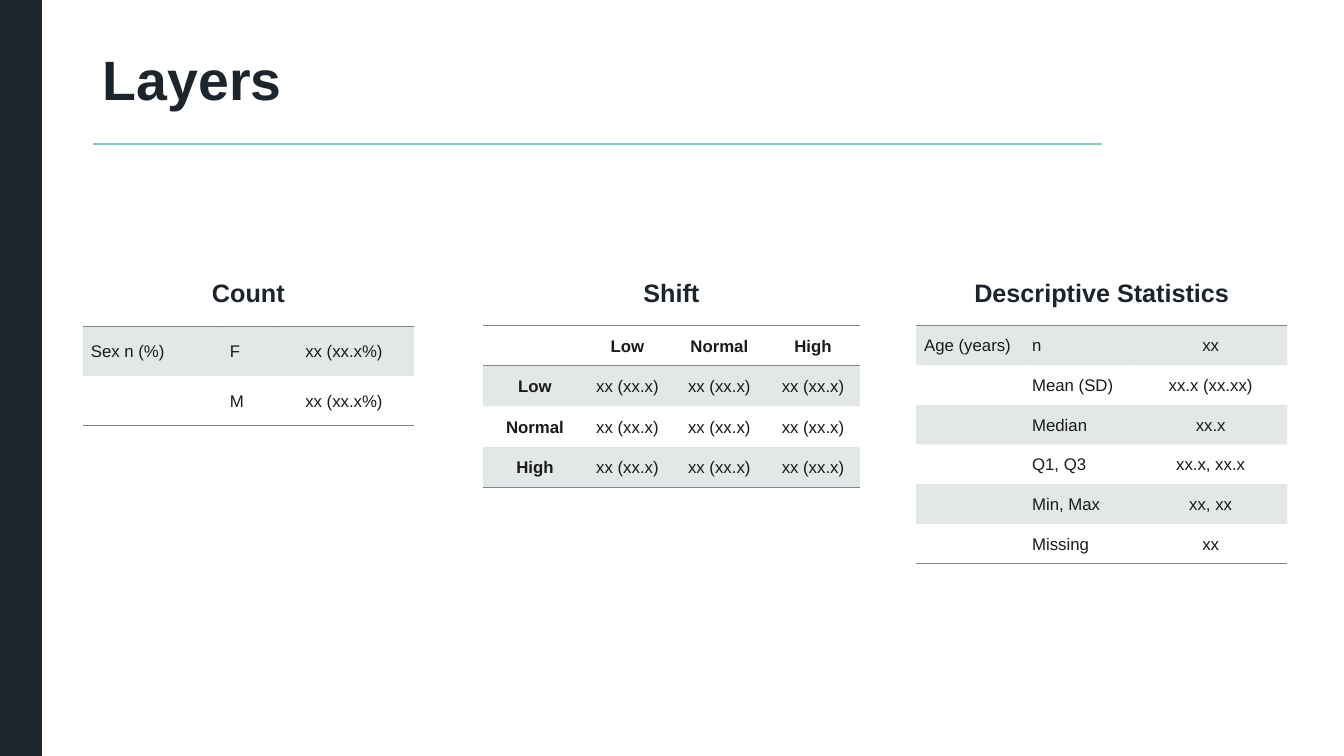
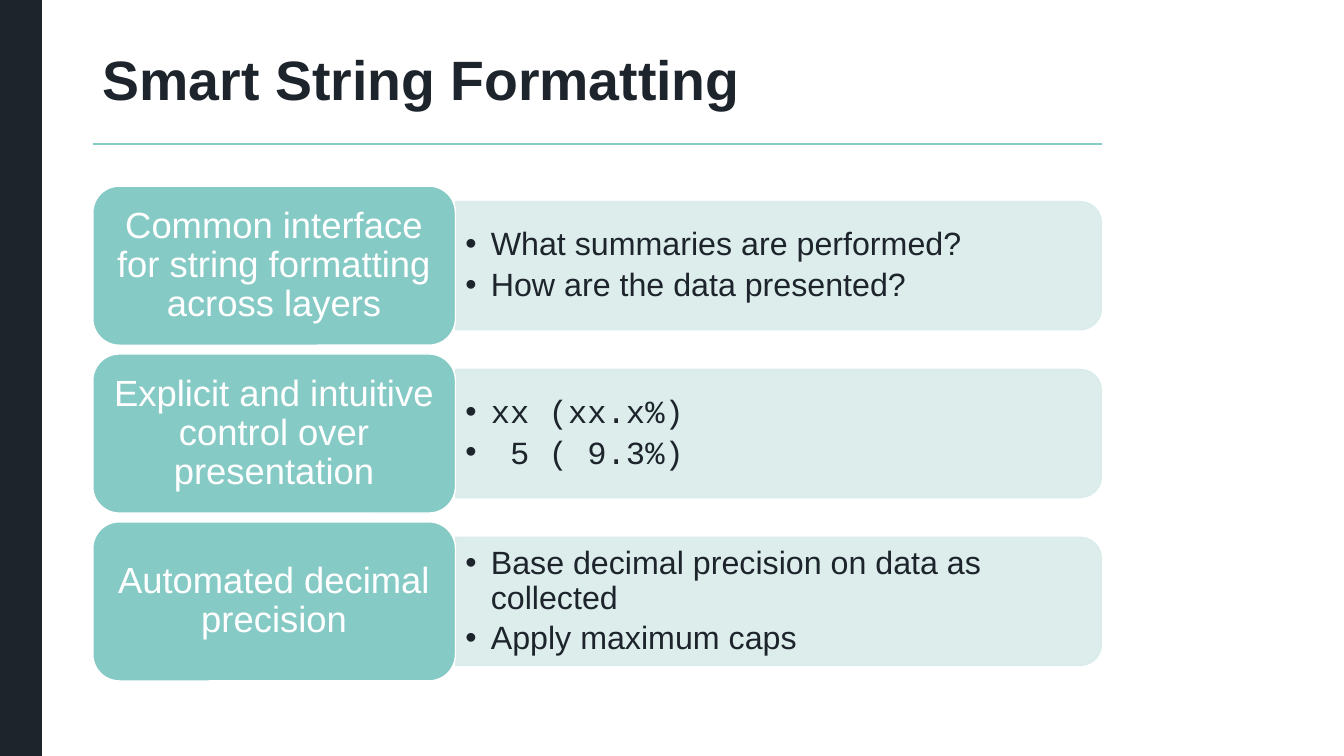
from lxml.etree import SubElement
from pptx import Presentation
from pptx.dml.color import RGBColor
from pptx.enum.shapes import MSO_CONNECTOR, MSO_SHAPE
from pptx.enum.text import MSO_ANCHOR, PP_ALIGN
from pptx.oxml import parse_xml
from pptx.oxml.ns import nsdecls, qn
from pptx.util import Cm, Pt

COLORS = {
    "dark": "1D242C",
    "teal": "86CAC6",
    "pale": "D9ECEA",
    "gray": "7C878E",
    "cell": "1A1A1A",
    "white": "FFFFFF",
}
PLAIN_TABLE_STYLE = "{2D5ABB26-0587-4C30-8999-92F81FD0307C}"


def set_opacity(element, percent):
    """Give every colour inside the element the same opacity."""
    for color in element.iter(qn("a:srgbClr")):
        SubElement(color, qn("a:alpha")).set("val", str(percent * 1000))


def format_paragraph(paragraph, size, color, font="Arial", bold=False,
                     align=PP_ALIGN.LEFT, spacing=1.0):
    paragraph.alignment = align
    paragraph.line_spacing = spacing
    for run in paragraph.runs:
        run.font.name = font
        run.font.size = Pt(size)
        run.font.bold = bold
        run.font.color.rgb = RGBColor.from_string(COLORS[color])


presentation = Presentation()
presentation.slide_width = Cm(33.87)
presentation.slide_height = Cm(19.05)

# Shared side band, title and rule
slides = []
content_left, content_width = 2.34, 25.42
for title in ("Layers", "Smart String Formatting"):
    slide = presentation.slides.add_slide(presentation.slide_layouts[6])
    slides.append(slide)

    band = slide.shapes.add_shape(MSO_SHAPE.RECTANGLE, 0, 0, Cm(1.06),
                                  presentation.slide_height)
    band.shadow.inherit = False
    band.fill.solid()
    band.fill.fore_color.rgb = RGBColor.from_string(COLORS["dark"])
    band.line.fill.background()

    rule = slide.shapes.add_connector(
        MSO_CONNECTOR.STRAIGHT, Cm(content_left), Cm(3.63),
        Cm(content_left + content_width), Cm(3.63))
    rule.line.color.rgb = RGBColor.from_string(COLORS["teal"])
    rule.line.width = Pt(1)
    SubElement(rule._element.spPr, qn("a:effectLst"))

    title_box = slide.shapes.add_textbox(Cm(content_left), Cm(1.35),
                                         Cm(content_width), Cm(1.47))
    title_box.text_frame.word_wrap = True
    title_box.text_frame.vertical_anchor = MSO_ANCHOR.MIDDLE
    title_box.text_frame.text = title
    format_paragraph(title_box.text_frame.paragraphs[0], 39.6, "dark",
                     bold=True, spacing=0.9)

layers_slide, formatting_slide = slides

# Slide 1: three tables; the centred columns start at center_from
shift_values = ["xx (xx.x)"] * 3
tables = [
    {"heading": "Count", "left": 2.09, "top": 8.23, "row_height": 1.25,
     "columns": [3.5, 1.32, 3.52], "center_from": 2, "header": False,
     "rows": [["Sex n (%)", "F", "xx (xx.x%)"],
              ["", "M", "xx (xx.x%)"]]},
    {"heading": "Shift", "left": 12.17, "top": 8.2, "row_height": 1.02,
     "columns": [2.51, 2.27, 2.36, 2.36], "center_from": 0, "header": True,
     "rows": [["", "Low", "Normal", "High"],
              [" Low", *shift_values],
              [" Normal", *shift_values],
              [" High", *shift_values]]},
    {"heading": "Descriptive Statistics", "left": 23.09, "top": 8.2,
     "row_height": 1.0, "columns": [2.72, 2.77, 3.86], "center_from": 2,
     "header": False,
     "rows": [["Age (years)", "n", "xx"],
              ["", "Mean (SD)", "xx.x (xx.xx)"],
              ["", "Median", "xx.x"],
              ["", "Q1, Q3", "xx.x, xx.x"],
              ["", "Min, Max", "xx, xx"],
              ["", "Missing", "xx"]]},
]
for layout in tables:
    rows, columns, header = layout["rows"], layout["columns"], layout["header"]
    left, width = Cm(layout["left"]), Cm(sum(columns))

    # Heading centred over its table
    heading_box = layers_slide.shapes.add_textbox(left, Cm(6.86), width, Cm(1.02))
    heading_box.text_frame.word_wrap = True
    heading_box.text_frame.text = layout["heading"]
    format_paragraph(heading_box.text_frame.paragraphs[0], 18, "dark",
                     bold=True, align=PP_ALIGN.CENTER)

    frame = layers_slide.shapes.add_table(
        len(rows), len(columns), left, Cm(layout["top"]), width,
        Cm(layout["row_height"] * len(rows)))
    table = frame.table
    table.first_row = header
    table.horz_banding = False
    table._tbl.tblPr.find(qn("a:tableStyleId")).text = PLAIN_TABLE_STYLE
    for column, column_width in zip(table.columns, columns):
        column.width = Cm(column_width)

    for row_index, row in enumerate(rows):
        table.rows[row_index].height = Cm(layout["row_height"])
        is_header = header and row_index == 0
        shaded = row_index % 2 == int(header)
        borders = []
        if is_header or row_index == len(rows) - 1:
            borders.append("lnB")
        if row_index == 0:
            borders.append("lnT")

        for column_index, text in enumerate(row):
            cell = table.cell(row_index, column_index)
            cell.text = text
            cell.vertical_anchor = MSO_ANCHOR.MIDDLE
            cell.margin_left = cell.margin_right = Cm(0.2)
            cell.margin_top = cell.margin_bottom = 0
            centered = column_index >= layout["center_from"]
            format_paragraph(
                cell.text_frame.paragraphs[0], 12, "cell",
                bold=is_header or (header and column_index == 0),
                align=PP_ALIGN.CENTER if centered else PP_ALIGN.LEFT,
                spacing=1.07)

            properties = cell._tc.get_or_add_tcPr()
            if shaded:
                cell.fill.solid()
                cell.fill.fore_color.rgb = RGBColor.from_string(COLORS["gray"])
                set_opacity(properties, 20)
            else:
                cell.fill.background()
            for border in borders:
                properties.insert(0, parse_xml(
                    f'<a:{border} {nsdecls("a")} w="12700"><a:solidFill>'
                    f'<a:srgbClr val="{COLORS["gray"]}"/></a:solidFill></a:{border}>'))

# Slide 2: cards with a bullet panel beside each
topics = [
    ("Common interface for string formatting across layers", "Arial",
     ["What summaries are performed?", "How are the data presented?"]),
    ("Explicit and intuitive control over presentation", "Courier New",
     ["xx (xx.x%)", " 5 ( 9.3%)"]),
    ("Automated decimal precision", "Arial",
     ["Base decimal precision on data as collected", "Apply maximum caps"]),
]
card_width, card_height, card_step = 9.14, 4.01, 4.23
panel_left, panel_height = content_left + card_width, 3.23
panel_width = content_width - card_width
for index, (topic, bullet_font, bullets) in enumerate(topics):
    card_top = 4.69 + index * card_step
    middle = card_top + card_height / 2

    # Panel: a quarter turn puts its rounded corners on the right
    panel = formatting_slide.shapes.add_shape(
        MSO_SHAPE.ROUND_2_SAME_RECTANGLE,
        Cm(panel_left + (panel_width - panel_height) / 2),
        Cm(middle - panel_width / 2), Cm(panel_height), Cm(panel_width))
    panel.rotation = 90
    panel.shadow.inherit = False
    panel.fill.solid()
    panel.fill.fore_color.rgb = RGBColor.from_string(COLORS["pale"])
    panel.line.color.rgb = RGBColor.from_string(COLORS["pale"])
    panel.line.width = Pt(1)
    set_opacity(panel._element.spPr, 90)

    # Bullets
    bullet_box = formatting_slide.shapes.add_textbox(
        Cm(panel_left), Cm(middle - 1.45), Cm(panel_width - 0.15), Cm(2.9))
    text_frame = bullet_box.text_frame
    text_frame.word_wrap = True
    text_frame.vertical_anchor = MSO_ANCHOR.MIDDLE
    text_frame.text = "\n".join(bullets)
    for paragraph in text_frame.paragraphs:
        format_paragraph(paragraph, 23, "dark", font=bullet_font, spacing=0.9)
        paragraph.space_after = Pt(4)
        properties = paragraph._p.get_or_add_pPr()
        properties.set("marL", str(Cm(0.64)))
        properties.set("indent", str(Cm(-0.64)))
        SubElement(properties, qn("a:buFont")).set("typeface", "Arial")
        SubElement(properties, qn("a:buChar")).set("char", "•")

    # Card
    card = formatting_slide.shapes.add_shape(
        MSO_SHAPE.ROUNDED_RECTANGLE, Cm(content_left), Cm(card_top),
        Cm(card_width), Cm(card_height))
    card.shadow.inherit = False
    card.fill.solid()
    card.fill.fore_color.rgb = RGBColor.from_string(COLORS["teal"])
    card.line.color.rgb = RGBColor.from_string(COLORS["white"])
    card.line.width = Pt(1)
    card.text_frame.word_wrap = True
    card.text_frame.vertical_anchor = MSO_ANCHOR.MIDDLE
    card.text_frame.margin_left = card.text_frame.margin_right = Cm(0.28)
    card.text_frame.text = topic
    format_paragraph(card.text_frame.paragraphs[0], 26, "white",
                     align=PP_ALIGN.CENTER, spacing=0.9)

presentation.save("out.pptx")
